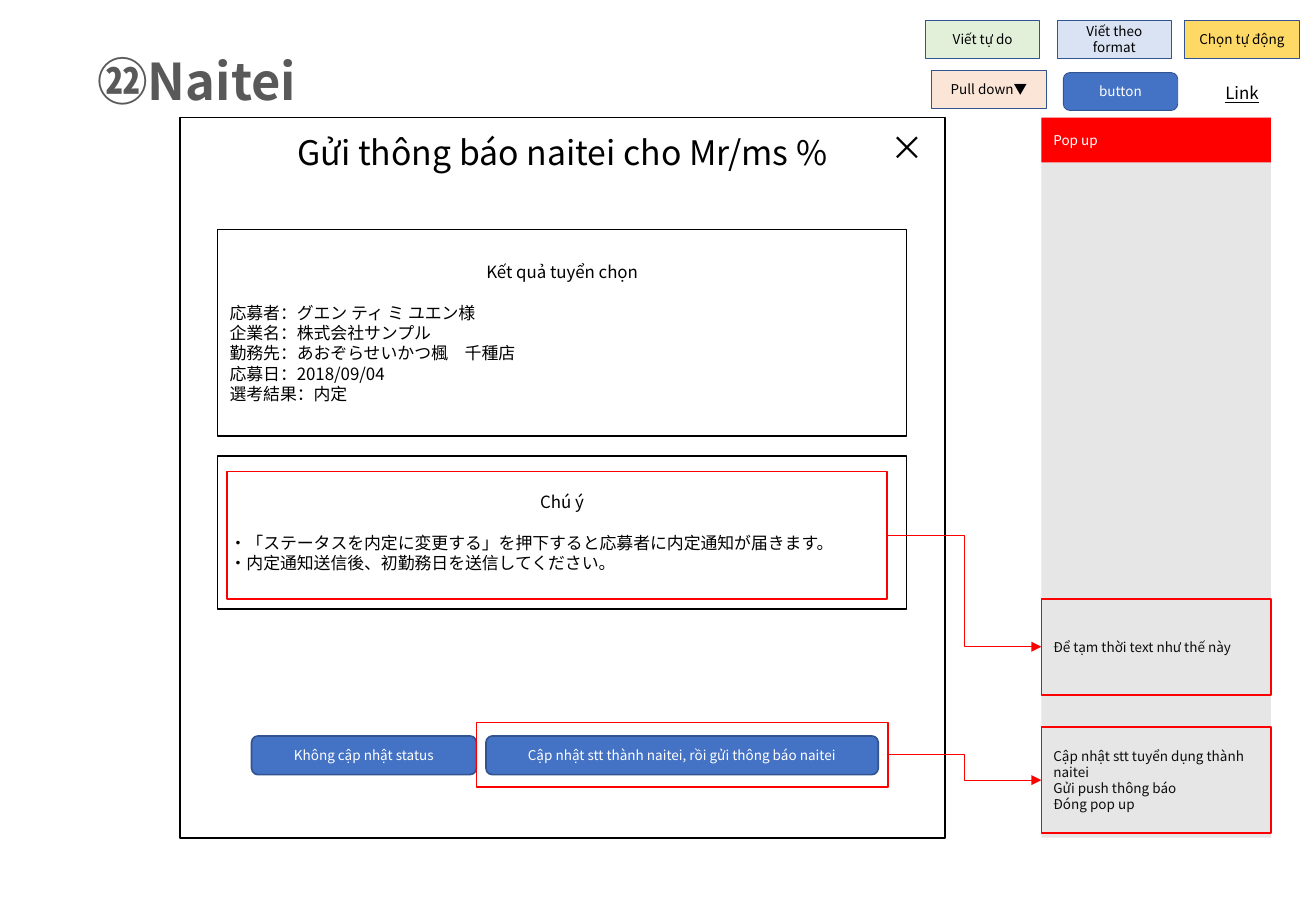
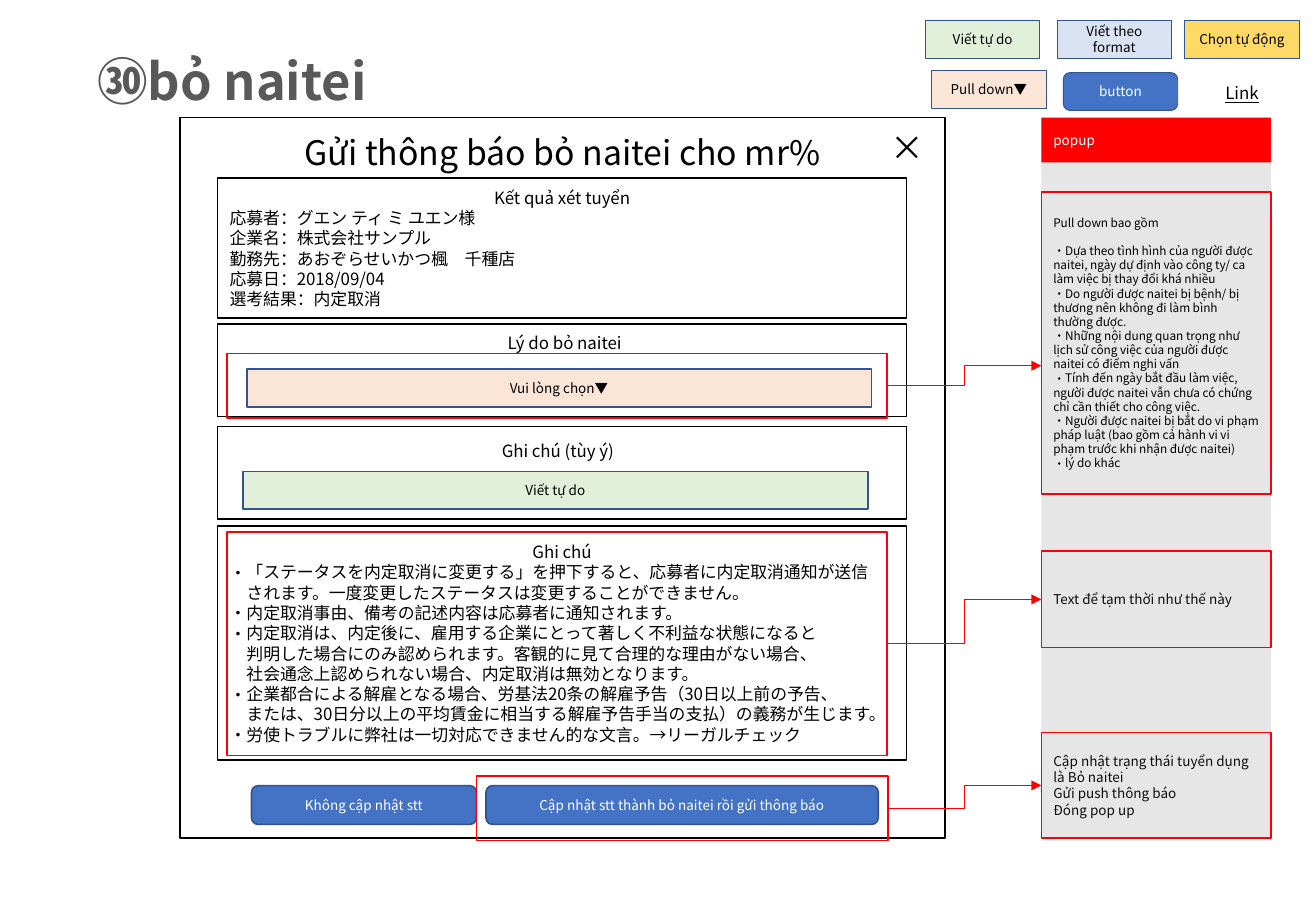
from lxml.etree import SubElement
from pptx import Presentation
from pptx.dml.color import RGBColor
from pptx.enum.shapes import MSO_CONNECTOR, MSO_SHAPE
from pptx.enum.text import MSO_ANCHOR, MSO_AUTO_SIZE, PP_ALIGN
from pptx.oxml.ns import qn
from pptx.util import Cm, Pt

FONT = "Noto Sans CJK JP"
COLORS = {
    "title": "595959", "black": "000000", "note": "0D0D0D", "white": "FFFFFF",
    "red": "FF0000", "panel": "E7E6E6", "button": "4472C4", "outline": "325491",
    "free": "E2F0D9", "pulldown": "FBE5D6", "format": "DAE3F3", "auto": "FFD966",
}

PANEL_LEFT, PANEL_WIDTH = 21.77, 4.8
DIALOG_LEFT, DIALOG_WIDTH = 3.76, 16
SECTION_LEFT, SECTION_WIDTH = 4.55, 14.4
BODY_TOP, BODY_HEIGHT = 2.46, 15.06
NOTICE_FRAME = (4.75, 13.8)
BUTTON_FRAME = (9.96, 8.61)
KEY_WIDTH, KEY_HEIGHT = 2.39, 0.79

APPLICATION = """応募者：グエン ティ ミ ユエン様
企業名：株式会社サンプル
勤務先：あおぞらせいかつ楓　千種店
応募日：2018/09/04
選考結果："""

# Sections: top, height, text, gap after the heading
# Callouts: frame (left, width), frame top, frame height,
#           note top, note height, note text, note format, arrow end
PAGES = [
    {
        "title": "㉒Naitei",
        "heading": "Gửi thông báo naitei cho Mr/ms %",
        "panel": "Pop up",
        "sections": [
            (4.8, 4.32, "Kết quả tuyển chọn\n" + APPLICATION + "内定", 12),
            (9.53, 3.2, """Chú ý
・「ステータスを内定に変更する」を押下すると応募者に内定通知が届きます。
・内定通知送信後、初勤務日を送信してください。""", 12),
        ],
        "fields": [],
        "button_top": 15.39,
        "buttons": ("Không cập nhật status",
                    "Cập nhật stt thành naitei, rồi gửi thông báo naitei"),
        "callouts": [
            (NOTICE_FRAME, 9.86, 2.67, 12.52, 2.01,
             "Để tạm thời text như thế này", {"color": "note"}, None),
            (BUTTON_FRAME, 15.11, 1.35, 15.21, 2.21,
             "Cập nhật stt tuyển dụng thành naitei\nGửi push thông báo\nĐóng pop up",
             {"color": "note"}, None),
        ],
    },
    {
        "title": "㉚bỏ naitei",
        "heading": "Gửi thông báo bỏ naitei cho mr%",
        "panel": "popup",
        "sections": [
            (3.73, 2.92, "Kết quả xét tuyển\n" + APPLICATION + "内定取消", 0),
            (6.78, 1.93, "", 0),
            (8.92, 1.93, "", 0),
            (11, 4.9, """Ghi chú
・「ステータスを内定取消に変更する」を押下すると、応募者に内定取消通知が送信\vされます。一度変更したステータスは変更することができません。
・内定取消事由、備考の記述内容は応募者に通知されます。
・内定取消は、内定後に、雇用する企業にとって著しく不利益な状態になると\v判明した場合にのみ認められます。客観的に見て合理的な理由がない場合、\v社会通念上認められない場合、内定取消は無効となります。
・企業都合による解雇となる場合、労基法20条の解雇予告（30日以上前の予告、\vまたは、30日分以上の平均賃金に相当する解雇予告手当の支払）の義務が生じます。
・労使トラブルに弊社は一切対応できません的な文言。→リーガルチェック""", 0),
        ],
        # Label, label left, top, width, field left, top, text, fill
        "fields": [
            ("Lý do bỏ naitei", 10.36, 6.83, 3.91, 5.16, 7.72, "Vui lòng chọn▼", "pulldown"),
            ("Ghi chú (tùy ý)", 10.24, 9.09, 4.01, 5.08, 9.86, "Viết tự do", "free"),
        ],
        "button_top": 16.43,
        "buttons": ("Không cập nhật stt",
                    "Cập nhật stt thành bỏ naitei rồi gửi thông báo"),
        "callouts": [
            (NOTICE_FRAME, 7.39, 1.35, 4.01, 6.32, """Pull down bao gồm
・Dựa theo tình hình của người được naitei, ngày dự định vào công ty/ ca làm việc bị thay đổi khá nhiều
・Do người được naitei bị bệnh/ bị thương nên không đi làm bình thường được.
・Những nội dung quan trọng như lịch sử công việc của người được naitei có điểm nghi vấn
・Tính đến ngày bắt đầu làm việc, người được naitei vẫn chưa có chứng chỉ cần thiết cho công việc.
・Người được naitei bị bắt do vi phạm pháp luật (bao gồm cả hành vi vi phạm trước khi nhận được naitei)
・lý do khác""", {"size": 7, "gap": 8.4, "hanging": 0}, 7.65),
            (NOTICE_FRAME, 11.13, 4.67, 11.53, 2.01,
             "Text để tạm thời như thế này", {"color": "note"}, None),
            (BUTTON_FRAME, 16.23, 1.35, 15.32, 2.21,
             "Cập nhật trạng thái tuyển dụng là Bỏ naitei\nGửi push thông báo\nĐóng pop up",
             {"color": "note"}, None),
        ],
    },
]

RECT, ROUND = MSO_SHAPE.RECTANGLE, MSO_SHAPE.ROUNDED_RECTANGLE
# Shape, left, top, text, fill, text colour
KEYS = [
    (RECT, 19.35, 0.43, "Viết tự do", "free", "black"),
    (RECT, 22.1, 0.43, "Viết theo format", "format", "black"),
    (RECT, 24.77, 0.43, "Chọn tự động", "auto", "black"),
    (RECT, 19.48, 1.47, "Pull down▼", "pulldown", "black"),
    (ROUND, 22.23, 1.52, "button", "button", "white"),
]


def write(shape, text, size=8, color="black", align=PP_ALIGN.LEFT, heading_align=None,
          gap=0, hanging=None, bold=False, underline=None):
    """Fill a shape with one paragraph a line; lines that start with ・ become bullets."""
    frame = shape.text_frame
    frame.word_wrap = True
    frame.auto_size = MSO_AUTO_SIZE.NONE
    frame.vertical_anchor = MSO_ANCHOR.MIDDLE
    indent = Pt(size if hanging is None else hanging)
    for index, line in enumerate(text.split("\n")):
        paragraph = frame.add_paragraph() if index else frame.paragraphs[0]
        paragraph.text = line.removeprefix("・")
        paragraph.alignment = align
        if line.startswith("・"):
            properties = paragraph._p.get_or_add_pPr()
            properties.set("marL", str(indent))
            properties.set("indent", str(-indent))
            SubElement(properties, qn("a:buFont"), typeface=FONT)
            SubElement(properties, qn("a:buChar"), char="・")
        if index == 0:
            paragraph.alignment = heading_align or align
            paragraph.space_after = Pt(gap)
        for run in paragraph.runs:
            font = run.font
            font.name, font.size, font.bold, font.underline = FONT, Pt(size), bold, underline
            font.color.rgb = RGBColor.from_string(COLORS[color])
            SubElement(run._r.get_or_add_rPr(), qn("a:ea"), typeface=FONT)
        for line_break in paragraph._p.findall(qn("a:br")):
            SubElement(line_break, qn("a:rPr"), sz=str(size * 100))


def add_box(slide, left, top, width, height, text="", kind=RECT, fill=None, line=None,
            weight=1, **text_format):
    shape = slide.shapes.add_shape(kind, Cm(left), Cm(top), Cm(width), Cm(height))
    shape.shadow.inherit = False
    if fill:
        shape.fill.solid()
        shape.fill.fore_color.rgb = RGBColor.from_string(COLORS[fill])
    else:
        shape.fill.background()
    if line:
        shape.line.color.rgb = RGBColor.from_string(COLORS[line])
        shape.line.width = Pt(weight)
    else:
        shape.line.fill.background()
    if text:
        write(shape, text, **text_format)
    return shape


presentation = Presentation()
presentation.slide_width, presentation.slide_height = Cm(27.51), Cm(19.05)

for page in PAGES:
    slide = presentation.slides.add_slide(presentation.slide_layouts[5])
    title = slide.shapes.title
    title.left, title.top, title.width, title.height = Cm(1.78), Cm(0.91), Cm(23.85), Cm(1.55)
    write(title, page["title"], size=30, color="title", bold=True)

    # Side panel and dialog window
    add_box(slide, PANEL_LEFT, BODY_TOP, PANEL_WIDTH, BODY_HEIGHT, fill="panel")
    add_box(slide, PANEL_LEFT, BODY_TOP, PANEL_WIDTH, 0.94, page["panel"],
            fill="red", color="white")
    add_box(slide, DIALOG_LEFT, BODY_TOP, DIALOG_WIDTH, BODY_HEIGHT, line="black")
    for top, height, text, gap in page["sections"]:
        add_box(slide, SECTION_LEFT, top, SECTION_WIDTH, height, text, line="black",
                size=10, heading_align=PP_ALIGN.CENTER, gap=gap)

    # Free-standing text: text, left, top, width, height, format
    centered = {"align": PP_ALIGN.CENTER}
    labels = [
        (page["heading"], DIALOG_LEFT, 2.62, DIALOG_WIDTH, 1.12, {"size": 20, **centered}),
        ("×", 18.16, 2.51, 1.6, 1.12, {"size": 20, **centered}),
        ("Link", 24.77, 1.6, KEY_WIDTH, 0.69, {"size": 10, "underline": True, **centered}),
    ]
    for label, label_left, label_top, label_width, left, top, text, fill in page["fields"]:
        labels.append((label, label_left, label_top, label_width, 0.69, {"size": 10}))
        add_box(slide, left, top, 13.06, KEY_HEIGHT, text, fill=fill, line="outline", **centered)
    for text, left, top, width, height, text_format in labels:
        text_box = slide.shapes.add_textbox(Cm(left), Cm(top), Cm(width), Cm(height))
        write(text_box, text, **text_format)

    for text, left, width in zip(page["buttons"], (5.26, 10.16), (4.7, 8.2)):
        add_box(slide, left, page["button_top"], width, 0.81, text, kind=ROUND,
                fill="button", line="outline", color="white", **centered)

    # Red frames, their notes and the arrows between them
    for (left, width), top, height, note_top, note_height, text, note_format, arrow_end in page["callouts"]:
        frame = add_box(slide, left, top, width, height, line="red")
        note = add_box(slide, PANEL_LEFT, note_top, PANEL_WIDTH, note_height, text,
                       line="red", **note_format)
        end = arrow_end or note_top + note_height / 2
        arrow = slide.shapes.add_connector(
            MSO_CONNECTOR.ELBOW, Cm(left + width), Cm(top + height / 2), Cm(PANEL_LEFT), Cm(end))
        arrow.begin_connect(frame, 3)
        if arrow_end is None:
            arrow.end_connect(note, 1)
        arrow.line.color.rgb = RGBColor.from_string(COLORS["red"])
        arrow.line.width = Pt(0.5)
        SubElement(arrow.line._get_or_add_ln(), qn("a:tailEnd"), type="triangle")
        SubElement(arrow._element.spPr, qn("a:effectLst"))

    for kind, left, top, text, fill, color in KEYS:
        add_box(slide, left, top, KEY_WIDTH, KEY_HEIGHT, text, kind=kind, fill=fill,
                line="outline", weight=0.5, color=color, **centered)

presentation.save("out.pptx")
